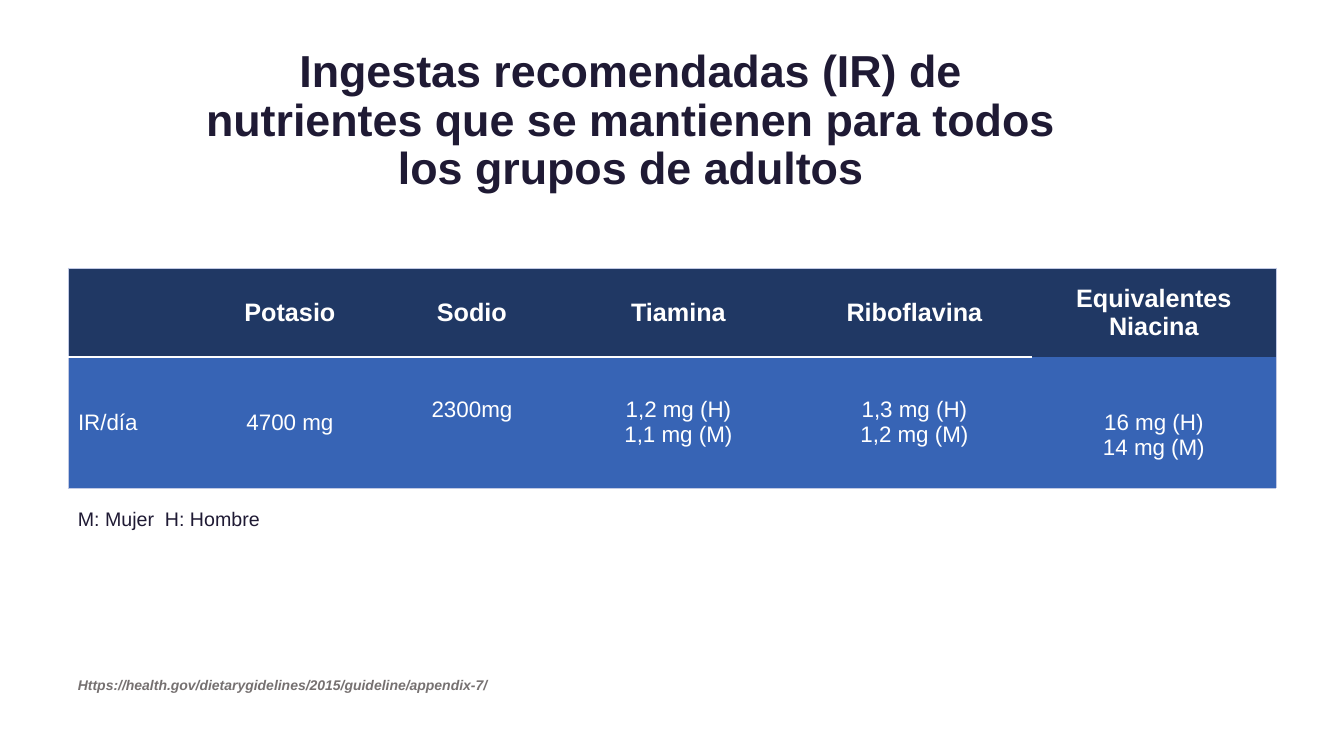
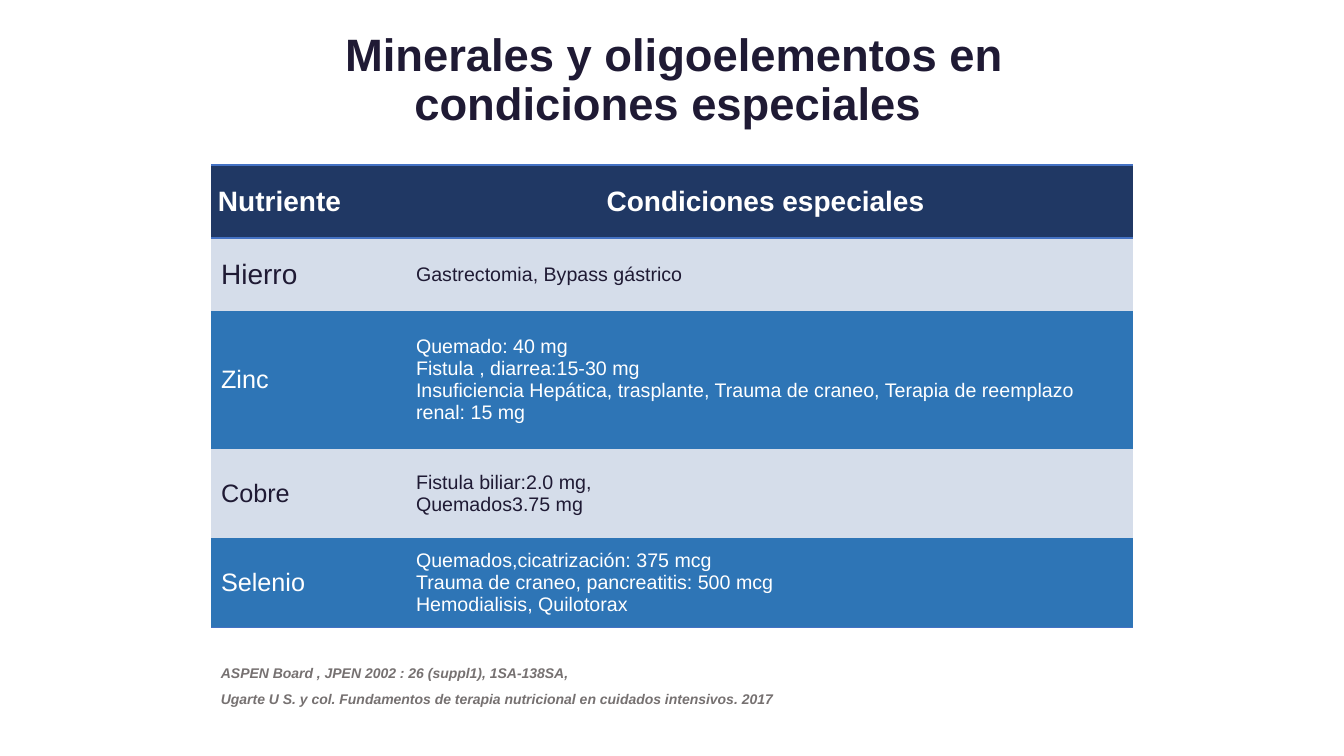
import pptx
import pptx.dml.color
import pptx.enum.text
import pptx.util
from lxml import etree

PX = 914400 / 100.8  # EMU in one px
FONT = "Arial"
HUES = {
    "ink": "1F1A34", "white": "FFFFFF", "grey": "767171",
    "navy": "203864", "royal": "3764B5", "sky": "2E75B6",
    "pale": "D5DDEA", "edge": "C1C9E4", "rule": "4472C4",
}
ALIGN = pptx.enum.text.PP_ALIGN
MID = pptx.enum.text.MSO_ANCHOR.MIDDLE
TOP = pptx.enum.text.MSO_ANCHOR.TOP
NS = "http://schemas.openxmlformats.org/drawingml/2006/main"
PLAIN = "{2D5ABB26-0587-4C30-8999-92F81FD0307C}"  # no style, no grid


def px(size):
    return pptx.util.Emu(round(size * PX))


def hue(name):
    return pptx.dml.color.RGBColor.from_string(HUES[name])


def sub(node, tag, **attrs):
    return etree.SubElement(node, f"{{{NS}}}{tag}", **attrs)


def text(frame, lines, size=14, color="ink", bold=False, italic=False,
         align=ALIGN.LEFT, space=None, after=0, tab=None):
    """Write one paragraph per line of text."""
    for i, line in enumerate(lines.split("\n")):
        para = frame.paragraphs[0] if i == 0 else frame.add_paragraph()
        para.alignment = align
        if space:
            para.line_spacing = space
        if after:
            para.space_after = pptx.util.Pt(after)
        if tab:
            stops = sub(para._p.get_or_add_pPr(), "tabLst")
            sub(stops, "tab", pos=str(px(tab)), algn="l")
        run = para.add_run()
        run.text = line
        font = run.font
        font.name, font.size = FONT, pptx.util.Pt(size)
        font.bold, font.italic = bold, italic
        font.color.rgb = hue(color)


def label(slide, box, lines, anchor=TOP, **fmt):
    frame = slide.shapes.add_textbox(*map(px, box)).text_frame
    frame.word_wrap = True
    frame.vertical_anchor = anchor
    text(frame, lines, **fmt)


def title(slide, box, line, size=32):
    label(slide, box, line, anchor=MID, size=size, bold=True,
          align=ALIGN.CENTER, space=0.9)


def source(slide, box, lines, after=0):
    label(slide, box, lines, size=10, color="grey", bold=True,
          italic=True, after=after)


def grid(slide, left, top, cols, rows):
    """Add a bare table with the given column widths and row heights."""
    box = (left, top, sum(cols), sum(rows))
    table = slide.shapes.add_table(len(rows), len(cols), *map(px, box)).table
    table.first_row = table.horz_banding = False
    table._tbl.tblPr.find(f"{{{NS}}}tableStyleId").text = PLAIN
    for col, wide in zip(table.columns, cols):
        col.width = px(wide)
    for row, high in zip(table.rows, rows):
        row.height = px(high)
    return table


def cell(item, lines, fill, lines_at, **fmt):
    """Fill one cell; lines_at maps a side to (colour, points)."""
    props = item._tc.get_or_add_tcPr()
    for side in "LRTB":
        if side in lines_at:
            color, wide = lines_at[side]
            line = sub(props, "ln" + side, w=str(pptx.util.Pt(wide)))
            sub(sub(line, "solidFill"), "srgbClr", val=HUES[color])
    item.fill.solid()
    item.fill.fore_color.rgb = hue(fill)
    item.vertical_anchor = MID
    if lines:
        text(item.text_frame, lines, **fmt)


def intake(slide, left, top):
    """Table of daily intakes."""
    heads = ["", "Potasio", "Sodio", "Tiamina", "Riboflavina",
             "Equivalentes Niacina"]
    doses = ["IR/día", "4700 mg", "2300mg", "1,2 mg (H)\n1,1 mg (M)",
             "1,3 mg (H)\n1,2 mg (M)", "16 mg (H)\n14 mg (M)"]
    table = grid(slide, left, top, [128, 188, 176, 237, 235, 244], [89, 131])
    last = len(heads) - 1
    thin = ("edge", 0.5)
    for c, (head, dose) in enumerate(zip(heads, doses)):
        ends = {0: {"L": thin}, last: {"R": thin}}.get(c, {})
        base = {} if c == last else {"B": ("white", 1.5)}
        cell(table.cell(0, c), head, "navy", {"T": thin, **base, **ends},
             size=18, color="white", bold=True, align=ALIGN.CENTER)
        cell(table.cell(1, c), dose, "royal", {"B": thin, **ends},
             size=16, color="white",
             align=ALIGN.CENTER if c else ALIGN.LEFT)
    # Two doses sit half a line off the middle
    table.cell(1, 2).margin_bottom = px(30)
    table.cell(1, last).margin_top = px(30)


def needs(slide, left, top):
    """Table of nutrients in special conditions."""
    rows = [
        ("Hierro", "Gastrectomia, Bypass gástrico"),
        ("Zinc", "Quemado: 40 mg\nFistula , diarrea:15-30 mg\n"
                 "Insuficiencia Hepática, trasplante, Trauma de craneo, "
                 "Terapia de reemplazo renal: 15 mg"),
        ("Cobre", "Fistula biliar:2.0 mg,\nQuemados3.75 mg"),
        ("Selenio", "Quemados,cicatrización: 375 mcg\n"
                    "Trauma de craneo, pancreatitis: 500 mcg\n"
                    "Hemodialisis, Quilotorax"),
    ]
    table = grid(slide, left, top, [195, 727], [73, 73, 138, 89, 90])
    rule = ("rule", 1)
    # Header
    heads = [("Nutriente", ALIGN.LEFT),
             ("Condiciones especiales ", ALIGN.CENTER)]
    for c, (head, align) in enumerate(heads):
        item = table.cell(0, c)
        item.margin_left = item.margin_right = px(7)
        item.margin_top = item.margin_bottom = 0
        cell(item, head, "navy", {"T": rule, "B": rule}, size=20,
             color="white", bold=True, align=align)
    # Body, in two turning colours
    for r, row in enumerate(rows, 1):
        fill, ink = ("pale", "ink") if r % 2 else ("sky", "white")
        base = {"B": rule} if r == len(rows) else {}
        sizes = (20 if r == 1 else 18, 14)
        for c, (lines, size) in enumerate(zip(row, sizes)):
            cell(table.cell(r, c), lines, fill, base, size=size, color=ink)


def main():
    deck = pptx.Presentation()
    deck.slide_width, deck.slide_height = px(1344), px(756)
    blank = deck.slide_layouts[6]

    # Intakes for all adults
    slide = deck.slides.add_slide(blank)
    title(slide, (182, 66, 898, 111),
          "Ingestas recomendadas (IR) de nutrientes que se mantienen "
          "para todos los grupos de adultos")
    intake(slide, 68, 268)
    label(slide, (68, 502, 230, 34), "M: Mujer\tH: Hombre", tab=87)
    source(slide, (68, 672, 460, 27),
           "Https://health.gov/dietarygidelines/2015/guideline/appendix-7/")

    # Special conditions
    slide = deck.slides.add_slide(blank)
    title(slide, (251, 32, 846, 99),
          "Minerales y oligoelementos en condiciones especiales ", 32.4)
    needs(slide, 211, 165)
    source(slide, (211, 660, 698, 52),
           "ASPEN Board , JPEN 2002 : 26 (suppl1), 1SA-138SA,\n"
           "Ugarte U S. y col. Fundamentos de terapia nutricional en "
           "cuidados intensivos. 2017", after=6)

    deck.save("out.pptx")


if __name__ == "__main__":
    main()
